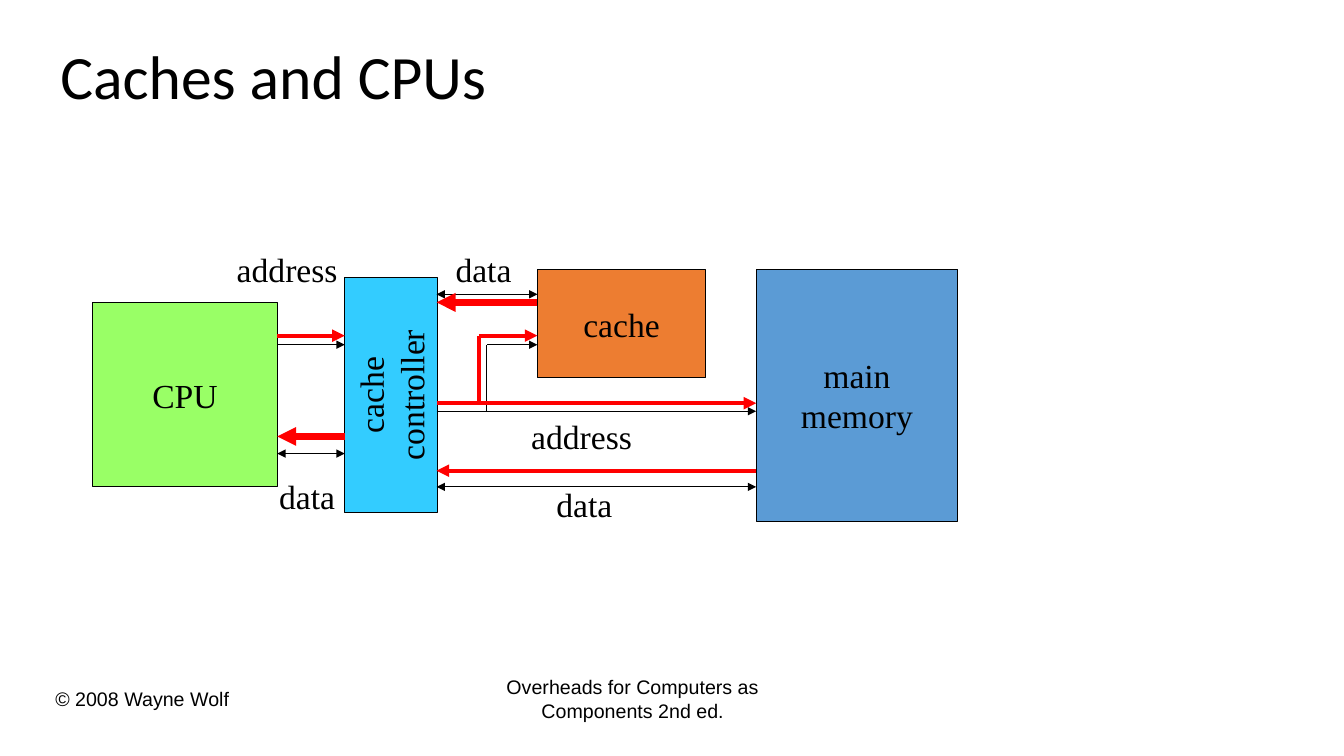
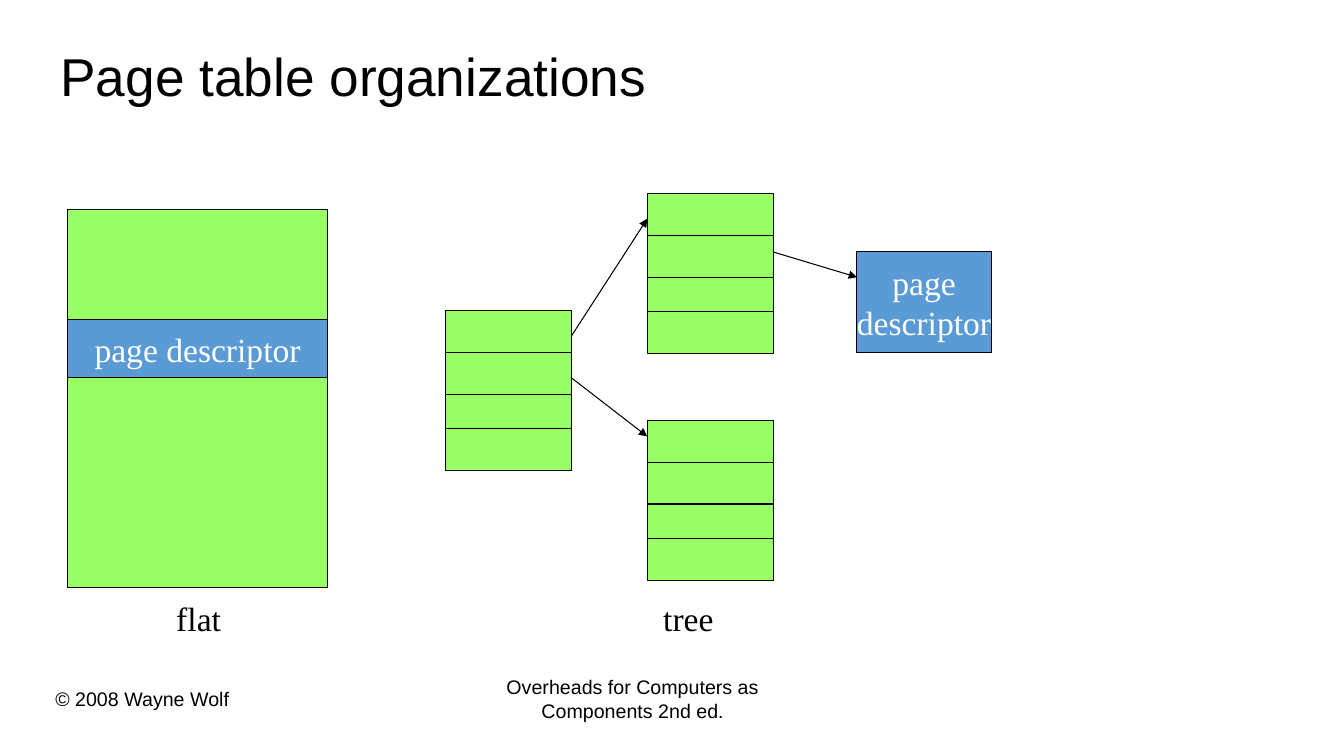
"""Build two slides on caches and page tables."""
from dataclasses import dataclass

from lxml.etree import SubElement
from pptx import Presentation
from pptx.dml.color import RGBColor
from pptx.enum.shapes import MSO_CONNECTOR, MSO_SHAPE
from pptx.enum.text import MSO_ANCHOR, MSO_AUTO_SIZE, PP_ALIGN
from pptx.oxml.ns import qn
from pptx.slide import Slide
from pptx.text.text import TextFrame
from pptx.util import Inches, Pt

COLORS = {
    "black": "000000",
    "white": "FFFFFF",
    "green": "99FF66",
    "cyan": "33CCFF",
    "orange": "ED7D31",
    "blue": "5B9BD5",
    "red": "FF0000",
}
SERIF = "Times New Roman"
SANS = "Arial"


@dataclass(frozen=True)
class Box:
    left: float
    top: float
    width: float
    height: float
    fill: str
    text: str = ""
    color: str = "black"
    rotation: float = 0


@dataclass(frozen=True)
class Label:
    left: float
    top: float
    width: float
    height: float
    text: str


@dataclass(frozen=True)
class Line:
    x1: float
    y1: float
    x2: float
    y2: float
    color: str = "black"
    weight: float = 0.75
    head: bool = False
    tail: bool = True


def rgb(name: str) -> RGBColor:
    return RGBColor.from_string(COLORS[name])


def write(tf: TextFrame, text: str, *, font: str = SERIF, size: float = 24,
          color: str = "black", align: PP_ALIGN = PP_ALIGN.LEFT,
          anchor: MSO_ANCHOR = MSO_ANCHOR.TOP, wrap: bool = False,
          spacing: float = 1.0) -> None:
    tf.word_wrap = wrap
    tf.vertical_anchor = anchor
    for i, line in enumerate(text.split("\n")):
        p = tf.paragraphs[0] if i == 0 else tf.add_paragraph()
        p.alignment = align
        p.line_spacing = spacing
        r = p.add_run()
        r.text = line
        r.font.name = font
        r.font.size = Pt(size)
        r.font.color.rgb = rgb(color)


def add_label(s: Slide, label: Label, **fmt) -> None:
    sp = s.shapes.add_textbox(Inches(label.left), Inches(label.top),
                              Inches(label.width), Inches(label.height))
    write(sp.text_frame, label.text, **fmt)
    if not fmt.get("wrap"):
        sp.text_frame.auto_size = MSO_AUTO_SIZE.SHAPE_TO_FIT_TEXT


def add_box(s: Slide, box: Box) -> None:
    sp = s.shapes.add_shape(MSO_SHAPE.RECTANGLE, Inches(box.left), Inches(box.top),
                            Inches(box.width), Inches(box.height))
    sp.shadow.inherit = False
    sp.rotation = box.rotation
    sp.fill.solid()
    sp.fill.fore_color.rgb = rgb(box.fill)
    sp.line.color.rgb = rgb("black")
    sp.line.width = Pt(0.75)
    if box.text:
        write(sp.text_frame, box.text, color=box.color,
              align=PP_ALIGN.CENTER, anchor=MSO_ANCHOR.MIDDLE)


def add_line(s: Slide, line: Line) -> None:
    cxn = s.shapes.add_connector(MSO_CONNECTOR.STRAIGHT, Inches(line.x1), Inches(line.y1),
                                 Inches(line.x2), Inches(line.y2))
    cxn.line.color.rgb = rgb(line.color)
    cxn.line.width = Pt(line.weight)
    ln = cxn.line._get_or_add_ln()
    for tag, shown in (("a:headEnd", line.head), ("a:tailEnd", line.tail)):
        if shown:
            SubElement(ln, qn(tag), type="triangle")
    SubElement(cxn._element.spPr, qn("a:effectLst"))


def add_slide(prs: Presentation, title: str, font: str, size: float) -> Slide:
    s = prs.slides.add_slide(prs.slide_layouts[6])
    add_label(s, Label(4.89, 6.65, 2.77, 0.57,
                       "Overheads for Computers as\nComponents 2nd ed."),
              font=SANS, size=14, align=PP_ALIGN.CENTER)
    add_label(s, Label(0.45, 6.77, 1.94, 0.34, "© 2008 Wayne Wolf"), font=SANS, size=14)
    add_label(s, Label(0.5, 0.25, 8.92, 1.08, title), font=font, size=size,
              anchor=MSO_ANCHOR.MIDDLE, wrap=True, spacing=0.9)
    return s


def build_caches(prs: Presentation) -> None:
    s = add_slide(prs, "Caches and CPUs", "Calibri", 44)
    cpu, ctrl_left, ctrl_right, cache, memory = 2.75, 3.42, 4.33, 5.33, 7.5
    boxes = [
        Box(0.92, 3, 1.83, 1.83, "green", "CPU"),
        Box(2.71, 3.46, 2.33, 0.92, "cyan", "cache\ncontroller", rotation=270),
        Box(cache, 2.67, 1.67, 1.08, "orange", "cache"),
        Box(memory, 2.67, 2, 2.5, "blue", "main\nmemory"),
    ]
    buses = [
        Line(cpu, 3.42, ctrl_left, 3.42),
        Line(ctrl_left, 4.5, cpu, 4.5, head=True),
        Line(cache, 2.92, ctrl_right, 2.92, head=True),
        Line(ctrl_right, 4.08, memory, 4.08),
        Line(4.83, 4.08, 4.83, 3.42, tail=False),
        Line(4.83, 3.42, cache, 3.42),
        Line(memory, 4.83, ctrl_right, 4.83, head=True),
    ]
    labels = [
        Label(4.42, 2.42, 0.76, 0.5, "data"),
        Label(5.42, 4.75, 0.76, 0.5, "data"),
        Label(5.17, 4.08, 1.2, 0.5, "address"),
        Label(2.67, 4.67, 0.76, 0.5, "data"),
        Label(2.25, 2.42, 1.2, 0.5, "address"),
    ]
    transfers = [
        Line(cpu, 3.33, ctrl_left, 3.33, "red", 3),
        Line(ctrl_right, 4, memory, 4, "red", 3),
        Line(4.75, 4, 4.75, 3.33, "red", 3, tail=False),
        Line(4.75, 3.33, cache, 3.33, "red", 3),
        Line(cache, 3, ctrl_right, 3, "red", 4.5),
        Line(ctrl_left, 4.33, cpu, 4.33, "red", 4.5),
        Line(memory, 4.67, ctrl_right, 4.67, "red", 3),
    ]
    for box in boxes:
        add_box(s, box)
    for bus in buses:
        add_line(s, bus)
    for label in labels:
        add_label(s, label)
    for transfer in transfers:
        add_line(s, transfer)


def build_page_tables(prs: Presentation) -> None:
    s = add_slide(prs, "Page table organizations", SANS, 38)
    add_label(s, Label(1.65, 5.88, 0.7, 0.5, "flat"))
    add_label(s, Label(6.48, 5.88, 0.7, 0.5, "tree"))
    add_box(s, Box(0.67, 2.08, 2.58, 3.75, "green"))
    add_box(s, Box(0.67, 3.17, 2.58, 0.58, "blue", "page descriptor", "white"))
    for left, top in ((4.42, 3.08), (6.42, 1.92), (6.42, 4.17)):
        for offset in (0, 0.42, 0.83, 1.17):
            add_box(s, Box(left, top + offset, 1.25, 0.42, "green"))
    add_box(s, Box(8.5, 2.5, 1.33, 1, "blue", "page\ndescriptor", "white"))
    for pointer in (Line(5.67, 3.33, 6.42, 2.17),
                    Line(5.67, 3.75, 6.42, 4.33),
                    Line(7.67, 2.5, 8.5, 2.75)):
        add_line(s, pointer)


def main() -> None:
    prs = Presentation()
    prs.slide_width = Inches(13.33)
    prs.slide_height = Inches(7.5)
    build_caches(prs)
    build_page_tables(prs)
    prs.save("out.pptx")


main()
